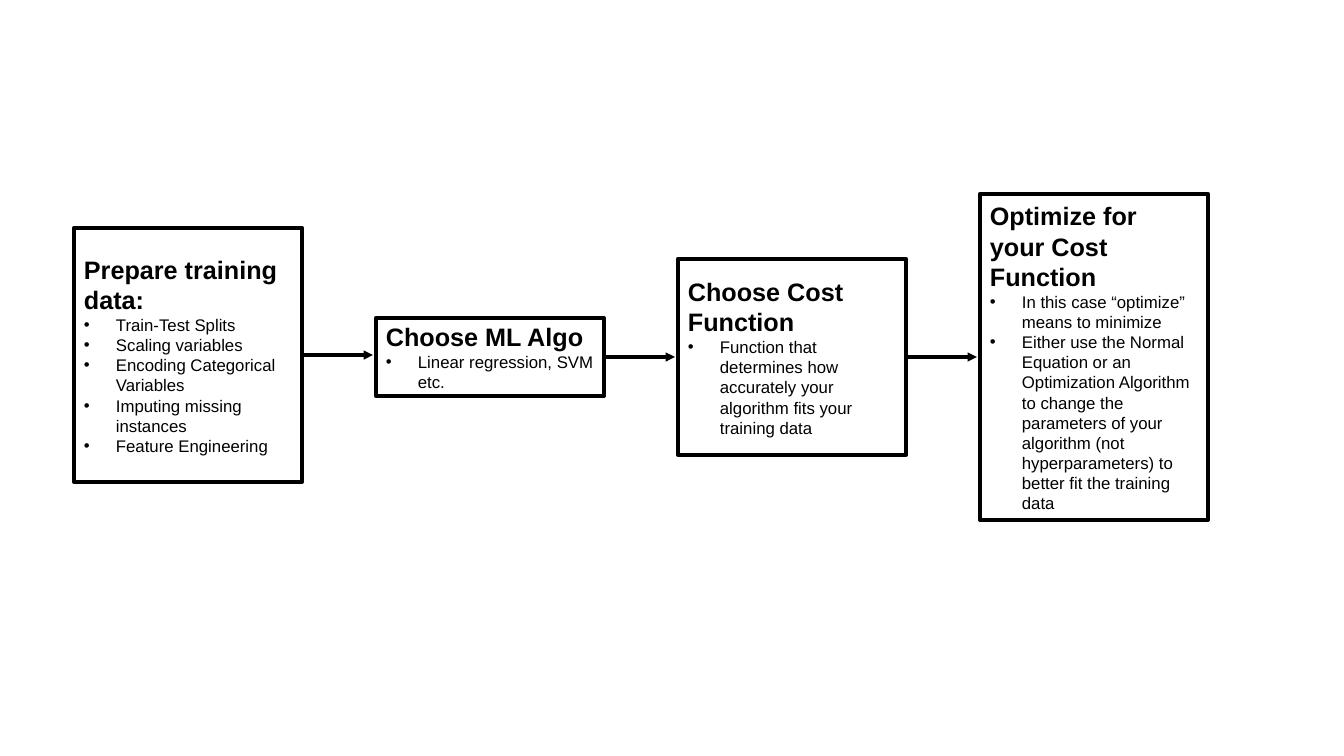
from lxml.etree import SubElement
from pptx import Presentation
from pptx.dml.color import RGBColor
from pptx.enum.shapes import MSO_CONNECTOR as Connector, MSO_SHAPE as Shape
from pptx.enum.text import MSO_ANCHOR as Anchor, PP_ALIGN as Align
from pptx.oxml.ns import qn
from pptx.util import Pt

PX = 914400 * 10 // 1008
BLACK, WHITE = "000000", "FFFFFF"
BOX_LEFT, BOX_WIDTH, BOX_PITCH = 74, 228, 302
ARROW_GAP = 3
BULLET_INDENT = 32

# Top, height, heading, bullets
STEPS = [
    (228, 254, "Prepare training data:", [
        "Train-Test Splits",
        "Scaling variables",
        "Encoding Categorical Variables",
        "Imputing missing instances",
        "Feature Engineering",
    ]),
    (318, 78, "Choose ML Algo", ["Linear regression, SVM etc."]),
    (259, 196, "Choose Cost Function", [
        "Function that determines how accurately your algorithm fits your training data",
    ]),
    (194, 326, "Optimize for your Cost Function", [
        "In this case “optimize” means to minimize",
        "Either use the Normal Equation or an Optimization Algorithm to change the "
        "parameters of your algorithm (not hyperparameters) to better fit the training data",
    ]),
]


def color(hex_string):
    return RGBColor.from_string(hex_string)


def write(paragraph, text, size=12, bold=False, bullet=False):
    paragraph.alignment = Align.LEFT
    run = paragraph.add_run()
    run.text = text
    run.font.name = "Arial"
    run.font.size = Pt(size)
    run.font.bold = bold
    run.font.color.rgb = color(BLACK)
    if bullet:
        properties = paragraph._p.get_or_add_pPr()
        properties.set("marL", str(BULLET_INDENT * PX))
        properties.set("indent", str(-BULLET_INDENT * PX))
        SubElement(properties, qn("a:buFont"), typeface="Arial")
        SubElement(properties, qn("a:buChar"), char="•")


presentation = Presentation()
presentation.slide_width = 1344 * PX
presentation.slide_height = 756 * PX
slide = presentation.slides.add_slide(presentation.slide_layouts[6])

boxes = []
for index, (top, height, heading, bullets) in enumerate(STEPS):
    left = BOX_LEFT + index * BOX_PITCH
    box = slide.shapes.add_shape(
        Shape.RECTANGLE, left * PX, top * PX, BOX_WIDTH * PX, height * PX)
    box.shadow.inherit = False
    box.fill.solid()
    box.fill.fore_color.rgb = color(WHITE)
    box.line.color.rgb = color(BLACK)
    box.line.width = Pt(3)
    frame = box.text_frame
    frame.word_wrap = True
    frame.vertical_anchor = Anchor.MIDDLE
    write(frame.paragraphs[0], heading, size=18, bold=True)
    for bullet in bullets:
        write(frame.add_paragraph(), bullet, bullet=True)
    boxes.append(box)

for box, next_box in zip(boxes, boxes[1:]):
    middle = box.top + box.height // 2
    arrow = slide.shapes.add_connector(
        Connector.STRAIGHT, box.left + box.width, middle,
        next_box.left - ARROW_GAP * PX, middle)
    arrow.begin_connect(box, 3)
    arrow.line.color.rgb = color(BLACK)
    arrow.line.width = Pt(2.25)
    SubElement(arrow.line._get_or_add_ln(), qn("a:tailEnd"), type="triangle")
    SubElement(arrow._element.spPr, qn("a:effectLst"))

presentation.save("out.pptx")
